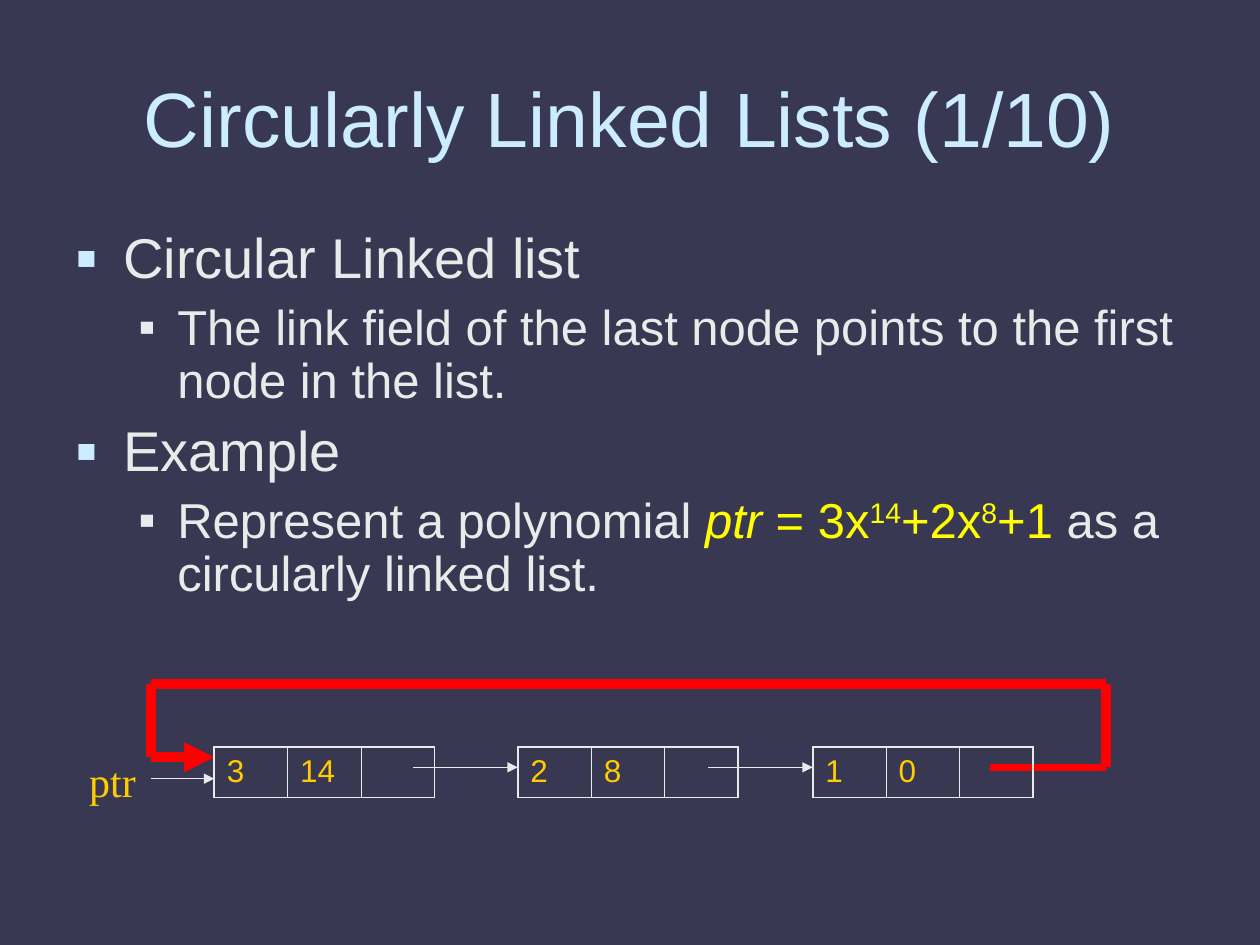
from typing import NamedTuple

import lxml.etree
import pptx
import pptx.dml.color
import pptx.enum.shapes
import pptx.enum.text
import pptx.oxml.ns
import pptx.util

Inches = pptx.util.Inches
Pt = pptx.util.Pt
qn = pptx.oxml.ns.qn

PALE, SKY, GOLD, RED, YELLOW = "EAEAEA", "CCECFF", "FFCC00", "FF0000", "FFFF00"
NODE_TOP, FIELD_WIDTH, NODE_HEIGHT = 5.93, 0.583, 0.4
LINK_Y = 6.09


class Piece(NamedTuple):
    text: str
    color: str = PALE
    italic: bool = False
    superscript: bool = False


class Level(NamedTuple):
    indent: float
    hanging: float
    size: int
    space_before: int
    bullet_color: str
    bullet_percent: int


class Point(NamedTuple):
    level: int
    pieces: list[Piece]


class Node(NamedTuple):
    left: float
    coefficient: str
    exponent: str


class Line(NamedTuple):
    start: tuple[float, float]
    end: tuple[float, float]
    color: str = PALE
    width: float = 0.75
    arrow: bool = True


LEVELS = [
    Level(0.38, 0.38, 32, 8, SKY, 115),
    Level(0.81, 0.31, 28, 7, PALE, 100),
]

POINTS = [
    Point(0, [Piece("Circular Linked list")]),
    Point(1, [Piece("The link field of the last node points to the first node in the list.")]),
    Point(0, [Piece("Example")]),
    Point(1, [
        Piece("Represent a polynomial "),
        Piece("ptr", YELLOW, italic=True),
        Piece(" = 3x", YELLOW),
        Piece("14", YELLOW, superscript=True),
        Piece("+2x", YELLOW),
        Piece("8", YELLOW, superscript=True),
        Piece("+1 ", YELLOW),
        Piece("as a circularly linked list."),
    ]),
]

NODES = [Node(1.7, "3", "14"), Node(4.11, "2", "8"), Node(6.45, "1", "0")]

LOOP = [(8.78, LINK_Y), (8.78, 5.43), (1.2, 5.43), (1.2, 6.01), (1.7, 6.01)]


def rgb(color: str) -> pptx.dml.color.RGBColor:
    return pptx.dml.color.RGBColor.from_string(color)


def add_element(parent, tag: str, **attributes: str):
    return lxml.etree.SubElement(parent, qn(tag), attributes)


def set_font(font, size: float, color: str, name: str = "Arial") -> None:
    font.size = Pt(size)
    font.name = name
    font.color.rgb = rgb(color)


def add_title(slide, text: str) -> None:
    title = slide.shapes.title
    title.left, title.top = Inches(0.5), Inches(0.3)
    title.width, title.height = Inches(9), Inches(1.25)
    title.text_frame.text = text
    title.text_frame.vertical_anchor = pptx.enum.text.MSO_ANCHOR.MIDDLE
    heading = title.text_frame.paragraphs[0]
    heading.alignment = pptx.enum.text.PP_ALIGN.CENTER
    set_font(heading.font, 44, SKY)


def add_bullet(paragraph, level: Level) -> None:
    properties = paragraph._p.get_or_add_pPr()
    properties.set("marL", str(Inches(level.indent)))
    properties.set("indent", str(-Inches(level.hanging)))
    bullet_color = add_element(properties, "a:buClr")
    add_element(bullet_color, "a:srgbClr", val=level.bullet_color)
    add_element(properties, "a:buSzPct", val=str(level.bullet_percent * 1000))
    add_element(properties, "a:buFont", typeface="Arial")
    add_element(properties, "a:buChar", char="▪")


def add_points(slide, points: list[Point]) -> None:
    outline = slide.shapes.add_textbox(Inches(0.5), Inches(1.78), Inches(9), Inches(3.23))
    frame = outline.text_frame
    frame.word_wrap = True
    for index, point in enumerate(points):
        level = LEVELS[point.level]
        paragraph = frame.add_paragraph() if index else frame.paragraphs[0]
        paragraph.level = point.level
        add_bullet(paragraph, level)
        paragraph.line_spacing = 0.9
        paragraph.space_before = Pt(level.space_before if index else 0)
        set_font(paragraph.font, level.size, PALE)
        for piece in point.pieces:
            run = paragraph.add_run()
            run.text = piece.text
            if piece.color != PALE:
                run.font.color.rgb = rgb(piece.color)
            if piece.italic:
                run.font.italic = True
            if piece.superscript:
                run.font._element.set("baseline", "30000")


def add_line(slide, line: Line) -> None:
    connector = slide.shapes.add_connector(
        pptx.enum.shapes.MSO_CONNECTOR.STRAIGHT,
        *(Inches(length) for length in line.start + line.end),
    )
    connector.line.color.rgb = rgb(line.color)
    connector.line.width = Pt(line.width)
    if line.arrow:
        add_element(connector.line._get_or_add_ln(), "a:tailEnd", type="triangle")
    add_element(connector._element.spPr, "a:effectLst")


def add_border(cell, side: str, width: float) -> None:
    border = add_element(cell._tc.get_or_add_tcPr(), f"a:ln{side}", w=str(Pt(width)))
    fill = add_element(border, "a:solidFill")
    add_element(fill, "a:srgbClr", val=PALE)


def add_node(slide, node: Node) -> None:
    fields = [node.coefficient, node.exponent, ""]
    table = slide.shapes.add_table(
        1, len(fields), Inches(node.left), Inches(NODE_TOP),
        Inches(FIELD_WIDTH * len(fields)), Inches(NODE_HEIGHT),
    ).table
    table.first_row = False
    table.horz_banding = False
    last = len(fields) - 1
    for index, field in enumerate(fields):
        cell = table.cell(0, index)
        cell.text = field
        set_font(cell.text_frame.paragraphs[0].font, 18, GOLD)
        add_border(cell, "L", 1.08 if index == 0 else 0.45)
        add_border(cell, "R", 1.08 if index == last else 0.45)
        add_border(cell, "T", 1.08)
        add_border(cell, "B", 1.08)
        cell.fill.background()


def add_pointer_label(slide, text: str) -> None:
    label = slide.shapes.add_textbox(Inches(0.61), Inches(5.95), Inches(0.58), Inches(0.5))
    label.text_frame.word_wrap = False
    label.text_frame.text = text
    set_font(label.text_frame.paragraphs[0].font, 24, GOLD, "Times New Roman")


def main() -> None:
    presentation = pptx.Presentation()
    presentation.slide_width, presentation.slide_height = Inches(10), Inches(7.5)
    slide = presentation.slides.add_slide(presentation.slide_layouts.get_by_name("Title Only"))
    slide.background.fill.solid()
    slide.background.fill.fore_color.rgb = rgb("383853")

    add_title(slide, "Circularly Linked Lists (1/10)")
    add_points(slide, POINTS)
    for node, following in zip(NODES, NODES[1:]):
        add_line(slide, Line((following.left - 0.83, LINK_Y), (following.left, LINK_Y)))
    add_line(slide, Line((7.86, LINK_Y), LOOP[0], RED, 4.25, arrow=False))
    for start, end in zip(LOOP, LOOP[1:]):
        add_line(slide, Line(start, end, RED, 5.75, arrow=end == LOOP[-1]))
    add_line(slide, Line((1.2, 6.18), (NODES[0].left, 6.18)))
    add_pointer_label(slide, "ptr")
    for node in NODES:
        add_node(slide, node)
    presentation.save("out.pptx")


if __name__ == "__main__":
    main()
